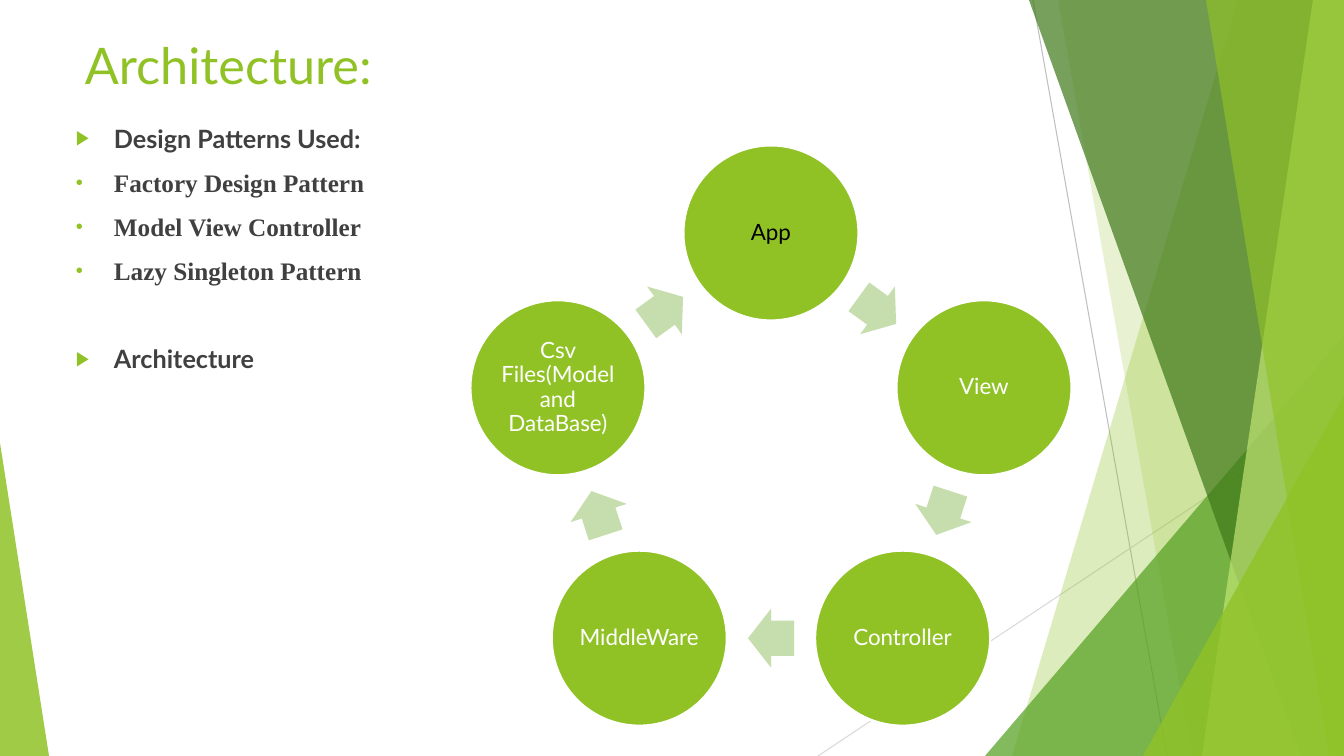
from math import cos, radians, sin

from lxml.etree import SubElement
from pptx import Presentation
from pptx.dml.color import RGBColor
from pptx.enum.shapes import MSO_CONNECTOR as Connector, MSO_SHAPE as Preset
from pptx.enum.text import MSO_ANCHOR as Anchor, PP_ALIGN as Align
from pptx.oxml.ns import qn
from pptx.util import Pt

THEME = {
    "lime": "90C226", "pale_lime": "C0E474", "leaf": "54A021", "forest": "3F7819",
    "arrow": "C6DDAD", "rule": "BFBFBF", "faint_rule": "D9D9D9",
    "body": "404040", "black": "010000", "white": "FFFFFF",
    "sans": "Lato", "serif": "Times New Roman", "bullet_face": "Arial",
    "title_size": 36, "body_size": 18, "node_size": 16,
}
SCALE = 914400 / 100.8
WIDTH, HEIGHT = 1344, 756


def px(*lengths):
    return [round(length * SCALE) for length in lengths]


def paint(shape, color, opacity=100):
    shape.shadow.inherit = False
    shape.line.fill.background()
    shape.fill.solid()
    shape.fill.fore_color.rgb = RGBColor.from_string(THEME[color])
    if opacity < 100:
        tint = shape.element.spPr.find(qn("a:solidFill"))[0]
        SubElement(tint, qn("a:alpha"), val=str(opacity * 1000))


deck = Presentation()
deck.slide_width, deck.slide_height = px(WIDTH, HEIGHT)
slide = deck.slides.add_slide(deck.slide_layouts[6])
shapes = slide.shapes

for ends, color in [((1033, 0, 1167, 756), "rule"), ((1344, 406, 818, 756), "faint_rule")]:
    ray = shapes.add_connector(Connector.STRAIGHT, *px(*ends))
    ray.line.color.rgb = RGBColor.from_string(THEME[color])
    ray.line.width = Pt(0.75)
    SubElement(ray.element.spPr, qn("a:effectLst"))

facets = [
    ("band", (1238, 1012), "lime", 30),
    ("band", (1058, 1192), "lime", 20),
    ("wedge", (985, 336, 359, 420, 1), "leaf", 72),
    ("band", (1029, 1301), "forest", 70),
    ("band", (1313, 1202), "pale_lime", 70),
    ("band", (1206, 1329), "lime", 65),
    ("wedge", (1143, 396, 201, 360, 1), "lime", 80),
    ("wedge", (0, 443, 49, 313, 0), "lime", 85),
]
for kind, place, color, opacity in facets:
    if kind == "band":
        top, bottom = place
        outline = shapes.build_freeform(top, 0, scale=SCALE)
        outline.add_line_segments([(WIDTH, 0), (WIDTH, HEIGHT), (bottom, HEIGHT)], close=True)
        facet = outline.convert_to_shape()
    else:
        *box, apex = place
        facet = shapes.add_shape(Preset.ISOSCELES_TRIANGLE, *px(*box))
        facet.adjustments[0] = apex
    paint(facet, color, opacity)

heading = shapes.add_textbox(*px(75, 29, 928, 102)).text_frame
heading.word_wrap = True
heading.text = "Architecture:"
heading_font = heading.paragraphs[0].runs[0].font
heading_font.name = THEME["sans"]
heading_font.size = Pt(THEME["title_size"])
heading_font.color.rgb = RGBColor.from_string(THEME["lime"])

topics = [
    ("Design Patterns Used:", "▶", "sans", 10),
    ("Factory Design Pattern", "•", "serif", 10),
    ("Model View Controller", "•", "serif", 10),
    ("Lazy Singleton Pattern", "•", "serif", 10),
    ("Architecture", "▶", "sans", 41),
]
outline_text = shapes.add_textbox(*px(66, 118, 390, 270)).text_frame
outline_text.word_wrap = True
outline_text.text = "\n".join(topic[0] for topic in topics)
for paragraph, (_, mark, face, gap) in zip(outline_text.paragraphs, topics):
    paragraph.space_before = Pt(gap)
    font = paragraph.runs[0].font
    font.name = THEME[face]
    font.size = Pt(THEME["body_size"])
    font.bold = True
    font.color.rgb = RGBColor.from_string(THEME["body"])
    indent = px(38)[0]
    props = paragraph._p.get_or_add_pPr()
    props.set("marL", str(indent))
    props.set("indent", str(-indent))
    SubElement(SubElement(props, qn("a:buClr")), qn("a:srgbClr"), val=THEME["lime"])
    SubElement(props, qn("a:buSzPct"), val="80000")
    SubElement(props, qn("a:buFont"), typeface=THEME["bullet_face"])
    SubElement(props, qn("a:buChar"), char=mark)

stages = [
    ("App", "black"),
    ("View", "white"),
    ("Controller", "white"),
    ("MiddleWare", "white"),
    ("Csv Files(Model and DataBase)", "white"),
]
CENTER_X, CENTER_Y, RADIUS = 771, 457, 224
DIAMETER, ARROW_LENGTH, ARROW_WIDTH = 175, 46, 59
step = 360 / len(stages)
arrow_radius = RADIUS * cos(radians(step / 2))
for index, (stage, color) in enumerate(stages):
    angle = radians(index * step)
    x = CENTER_X + RADIUS * sin(angle)
    y = CENTER_Y - RADIUS * cos(angle)
    node = shapes.add_shape(
        Preset.OVAL, *px(x - DIAMETER / 2, y - DIAMETER / 2, DIAMETER, DIAMETER))
    paint(node, "lime")
    node.line.color.rgb = RGBColor.from_string(THEME["white"])
    node.line.width = Pt(1.5)
    label = node.text_frame
    label.word_wrap = True
    label.vertical_anchor = Anchor.MIDDLE
    label.margin_left = label.margin_right = label.margin_top = label.margin_bottom = px(2)[0]
    label.text = stage
    label.paragraphs[0].alignment = Align.CENTER
    label.paragraphs[0].line_spacing = 0.9
    label_font = label.paragraphs[0].runs[0].font
    label_font.name = THEME["sans"]
    label_font.size = Pt(THEME["node_size"])
    label_font.color.rgb = RGBColor.from_string(THEME[color])

    heading_angle = (index + 0.5) * step
    x = CENTER_X + arrow_radius * sin(radians(heading_angle))
    y = CENTER_Y - arrow_radius * cos(radians(heading_angle))
    arrow = shapes.add_shape(
        Preset.RIGHT_ARROW,
        *px(x - ARROW_LENGTH / 2, y - ARROW_WIDTH / 2, ARROW_LENGTH, ARROW_WIDTH))
    arrow.rotation = heading_angle
    arrow.adjustments[0] = 0.6
    arrow.adjustments[1] = 0.5
    paint(arrow, "arrow")

deck.save("out.pptx")
